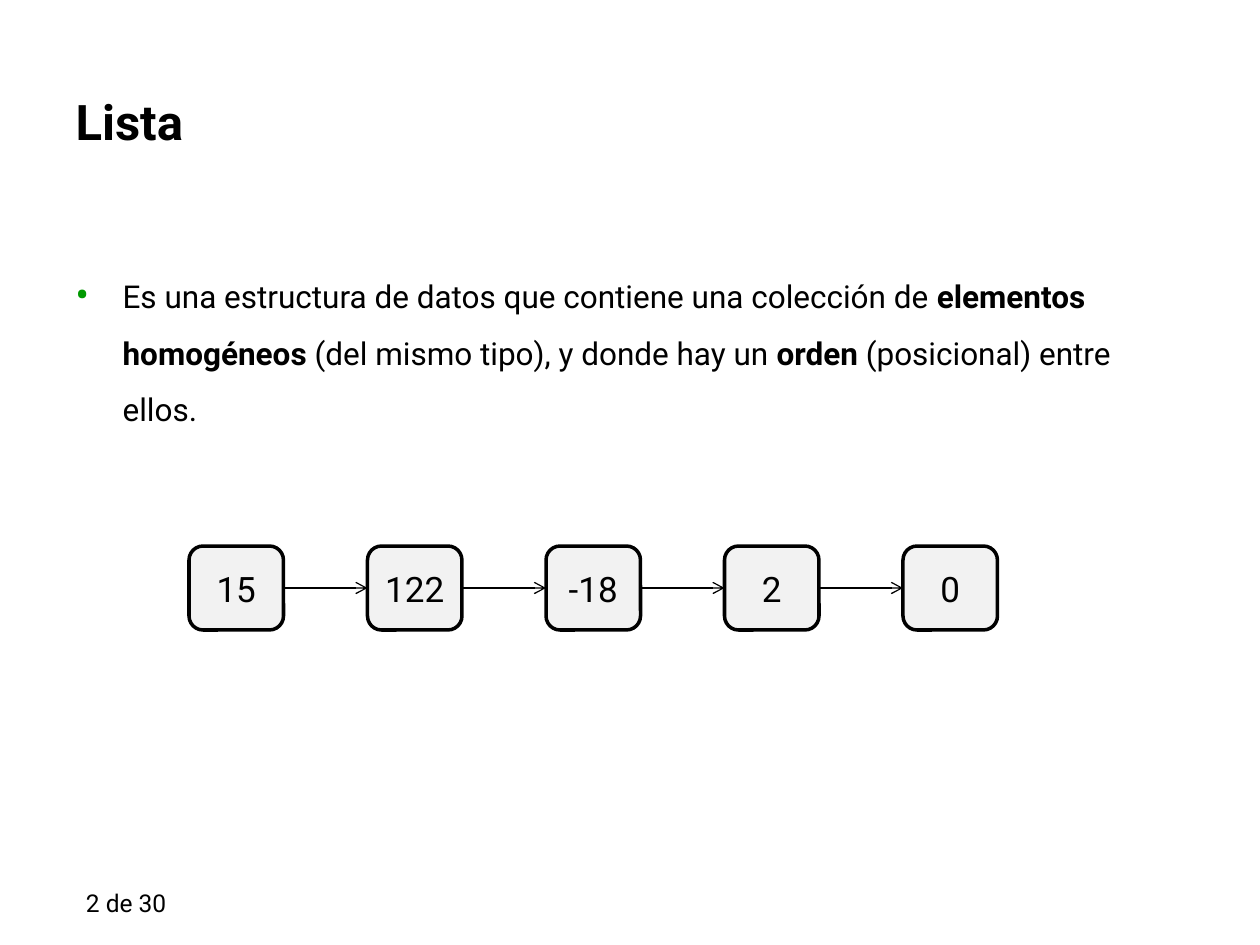
from dataclasses import dataclass

from lxml.etree import SubElement
from pptx import Presentation
from pptx.dml.color import RGBColor
from pptx.enum.shapes import MSO_CONNECTOR, MSO_SHAPE
from pptx.enum.text import MSO_ANCHOR, MSO_AUTO_SIZE, PP_ALIGN
from pptx.oxml.ns import qn
from pptx.util import Pt


@dataclass(frozen=True)
class Theme:
    font: str = "Roboto"
    ink: RGBColor = RGBColor(0x00, 0x00, 0x00)
    node: RGBColor = RGBColor(0xF2, 0xF2, 0xF2)
    bullet: str = "009900"
    title_size: int = 28
    body_size: int = 18
    node_size: int = 20
    footer_size: int = 14


def apply(target, values):
    for name, value in values.items():
        setattr(target, name, value)


class SlideBuilder:
    """Draws styled elements on one slide, with lengths in points."""

    def __init__(self, page, theme):
        self.page = page
        self.theme = theme

    def fill_text(self, box, spans, size, frame_format, para_format):
        apply(box.text_frame, {"word_wrap": True, **frame_format})
        para = box.text_frame.paragraphs[0]
        apply(para, para_format)
        for text, bold in spans:
            span = para.add_run()
            span.text = text
            apply(span.font, {"name": self.theme.font, "size": Pt(size), "bold": bold})
            span.font.color.rgb = self.theme.ink
        return para

    def title(self, text, left, top, width, height):
        box = self.page.shapes.title
        apply(box, {"left": Pt(left), "top": Pt(top), "width": Pt(width), "height": Pt(height)})
        frame_format = {"vertical_anchor": MSO_ANCHOR.MIDDLE, "auto_size": MSO_AUTO_SIZE.NONE}
        self.fill_text(box, [(text, True)], self.theme.title_size, frame_format,
                       {"alignment": PP_ALIGN.LEFT})

    def text(self, spans, size, left, top, width, height, **para_format):
        box = self.page.shapes.add_textbox(Pt(left), Pt(top), Pt(width), Pt(height))
        return self.fill_text(box, spans, size, {}, para_format)

    def bullet(self, spans, left, top, width, height):
        para = self.text(spans, self.theme.body_size, left, top, width, height,
                         line_spacing=1.5, space_before=Pt(3.6))
        properties = para._p.get_or_add_pPr()
        for name, value in {"marL": Pt(27), "indent": Pt(-27)}.items():
            properties.set(name, str(value))
        color = SubElement(properties, qn("a:buClr"))
        SubElement(color, qn("a:srgbClr"), val=self.theme.bullet)
        SubElement(properties, qn("a:buSzPct"), val="130000")
        SubElement(properties, qn("a:buFont"), typeface=self.theme.font)
        SubElement(properties, qn("a:buChar"), char="•")

    def node(self, group, text, left, top, width, height):
        box = group.shapes.add_shape(MSO_SHAPE.ROUNDED_RECTANGLE, Pt(left), Pt(top), Pt(width), Pt(height))
        box.shadow.inherit = False
        box.fill.solid()
        box.fill.fore_color.rgb = self.theme.node
        box.line.color.rgb = self.theme.ink
        box.line.width = Pt(2)
        self.fill_text(box, [(text, False)], self.theme.node_size,
                       {"vertical_anchor": MSO_ANCHOR.MIDDLE}, {"alignment": PP_ALIGN.CENTER})
        return box

    def arrow(self, group, source, target):
        connector = group.shapes.add_connector(MSO_CONNECTOR.STRAIGHT, 0, 0, 0, 0)
        connector.begin_connect(source, 3)
        connector.end_connect(target, 1)
        connector.line.color.rgb = self.theme.ink
        connector.line.width = Pt(0.75)
        SubElement(connector.line._get_or_add_ln(), qn("a:tailEnd"), type="arrow")
        SubElement(connector._element.spPr, qn("a:effectLst"))

    def linked_list(self, values, left, top, width, height, gap):
        group = self.page.shapes.add_group_shape()
        nodes = [self.node(group, value, left + index * (width + gap), top, width, height)
                 for index, value in enumerate(values)]
        for source, target in zip(nodes, nodes[1:]):
            self.arrow(group, source, target)


def main():
    deck = Presentation()
    apply(deck, {"slide_width": Pt(720), "slide_height": Pt(540)})
    theme = Theme()
    slide = SlideBuilder(deck.slides.add_slide(deck.slide_layouts[5]), theme)
    slide.text([("2 de 30", False)], theme.footer_size, 42, 504, 96, 24)
    slide.title("Lista", 36, 48, 648, 42)
    slide.bullet([
        ("Es una estructura de datos que contiene una colección de ", False),
        ("elementos homogéneos", True),
        (" (del mismo tipo), y donde hay un ", False),
        ("orden", True),
        (" (posicional) entre ellos.", False),
    ], 36, 144, 648, 138)
    slide.linked_list(["15", "122", "-18", "2", "0"], 108, 312, 54, 48, 48)
    deck.save("out.pptx")


if __name__ == "__main__":
    main()
